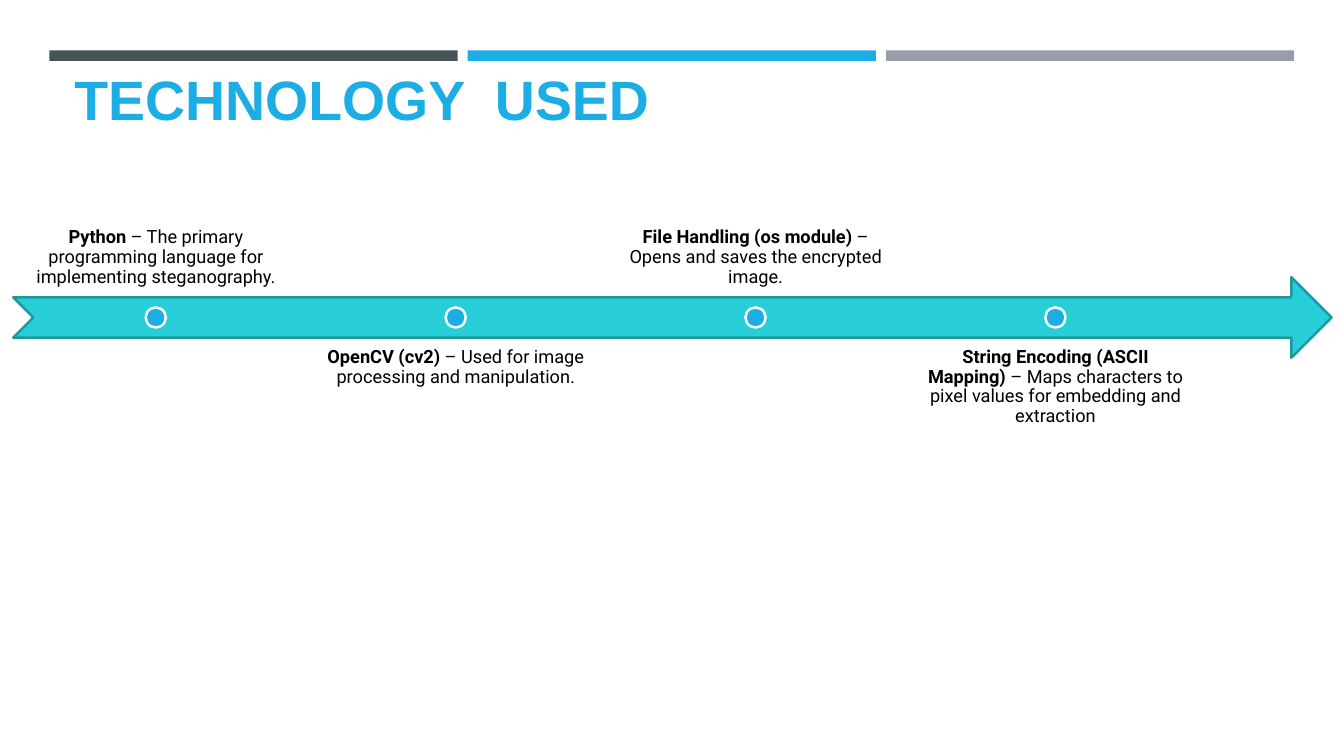
from pptx import Presentation
from pptx.dml.color import RGBColor
from pptx.enum.shapes import MSO_SHAPE
from pptx.enum.text import MSO_ANCHOR, PP_ALIGN
from pptx.util import Pt

RECT, OVAL, ARROW = MSO_SHAPE.RECTANGLE, MSO_SHAPE.OVAL, MSO_SHAPE.NOTCHED_RIGHT_ARROW
TOP, BOTTOM = MSO_ANCHOR.TOP, MSO_ANCHOR.BOTTOM
LEFT, CENTER = PP_ALIGN.LEFT, PP_ALIGN.CENTER

SLATE = RGBColor(0x46, 0x53, 0x59)
BLUE = RGBColor(0x1C, 0xAD, 0xE4)
GRAY = RGBColor(0x96, 0x9F, 0xA7)
TEAL = RGBColor(0x27, 0xCE, 0xD7)
DARK_TEAL = RGBColor(0x1D, 0x98, 0x9F)
WHITE = RGBColor(0xFF, 0xFF, 0xFF)
BLACK = RGBColor(0, 0, 0)

BAR_LEFT, BAR_WIDTH, BAR_PITCH = 35.3, 291.6, 298.8
STEP_LEFT, STEP_WIDTH, STEP_PITCH = 9.4, 203.8, 214.2
STEP_HEIGHT, ABOVE_TOP, BELOW_TOP = 57.6, 154.8, 241.2
AXIS_Y, DOT_SIZE = 226.8, 14.4

STEPS = [
    ("Python", " – The primary programming language for implementing steganography."),
    ("OpenCV (cv2)", " – Used for image processing and manipulation."),
    ("File Handling (os module)", " – Opens and saves the encrypted image."),
    ("String Encoding (ASCII Mapping)",
     " – Maps characters to pixel values for embedding and extraction"),
]


def add_shape(s, kind, x, y, w, h, fill, line=None):
    sp = s.shapes.add_shape(kind, Pt(x), Pt(y), Pt(w), Pt(h))
    sp.shadow.inherit = False
    sp.fill.solid()
    sp.fill.fore_color.rgb = fill
    if line is None:
        sp.line.fill.background()
    else:
        sp.line.color.rgb = line
        sp.line.width = Pt(1.75)


def add_text(s, x, y, w, h, bold, plain="", *, font, size, color,
             anchor=TOP, align=LEFT, inset=3.6, spacing=1.0):
    """Add a one-paragraph text box: a bold run, then an optional plain run."""
    tf = s.shapes.add_textbox(Pt(x), Pt(y), Pt(w), Pt(h)).text_frame
    tf.word_wrap = True
    tf.vertical_anchor = anchor
    tf.margin_left = tf.margin_right = Pt(7.2)
    tf.margin_top = tf.margin_bottom = Pt(inset)
    p = tf.paragraphs[0]
    p.alignment = align
    p.line_spacing = spacing
    for text, is_bold in ((bold, True), (plain, False)):
        if text:
            r = p.add_run()
            r.text = text
            r.font.name = font
            r.font.size = Pt(size)
            r.font.bold = is_bold
            r.font.color.rgb = color


def add_step(s, i, name, description):
    """Add a timeline dot with its label, above and below the arrow in turn."""
    x = STEP_LEFT + i * STEP_PITCH
    y, anchor = (BELOW_TOP, TOP) if i % 2 else (ABOVE_TOP, BOTTOM)
    add_text(s, x, y, STEP_WIDTH, STEP_HEIGHT, name, description,
             font="Roboto", size=13, color=BLACK, anchor=anchor,
             align=CENTER, inset=7.2, spacing=0.9)
    add_shape(s, OVAL, x + (STEP_WIDTH - DOT_SIZE) / 2, AXIS_Y - DOT_SIZE / 2,
              DOT_SIZE, DOT_SIZE, BLUE, WHITE)


def main():
    prs = Presentation()
    prs.slide_width, prs.slide_height = Pt(960), Pt(540)
    s = prs.slides.add_slide(prs.slide_layouts[6])
    for i, color in enumerate((SLATE, BLUE, GRAY)):
        add_shape(s, RECT, BAR_LEFT + i * BAR_PITCH, 36, BAR_WIDTH, 7.5, color)
    add_text(s, 46.1, 55.4, 868.3, 41.8, "TECHNOLOGY  USED",
             font="Arial", size=39.6, color=BLUE, anchor=BOTTOM)
    add_shape(s, ARROW, 9.4, AXIS_Y - 28.8, 941.8, 57.6, TEAL, DARK_TEAL)
    for i, (name, description) in enumerate(STEPS):
        add_step(s, i, name, description)
    prs.save("out.pptx")


if __name__ == "__main__":
    main()
